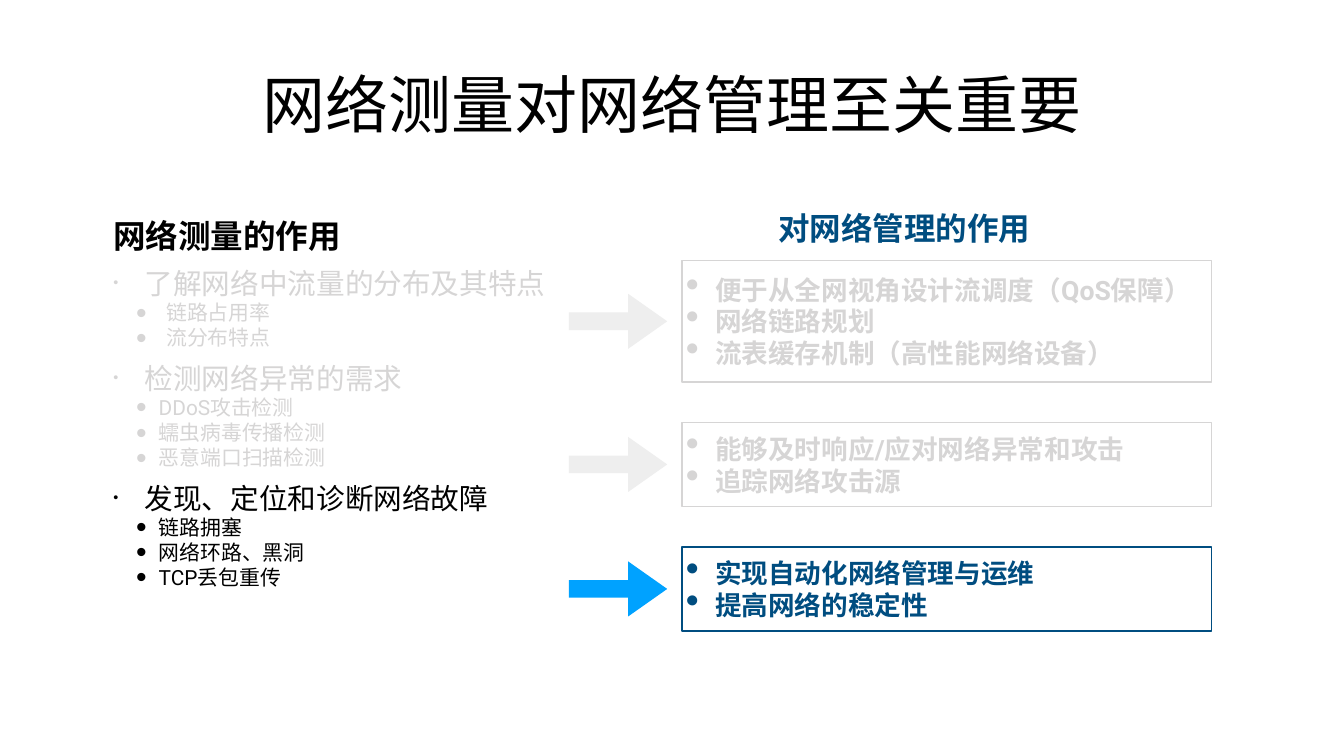
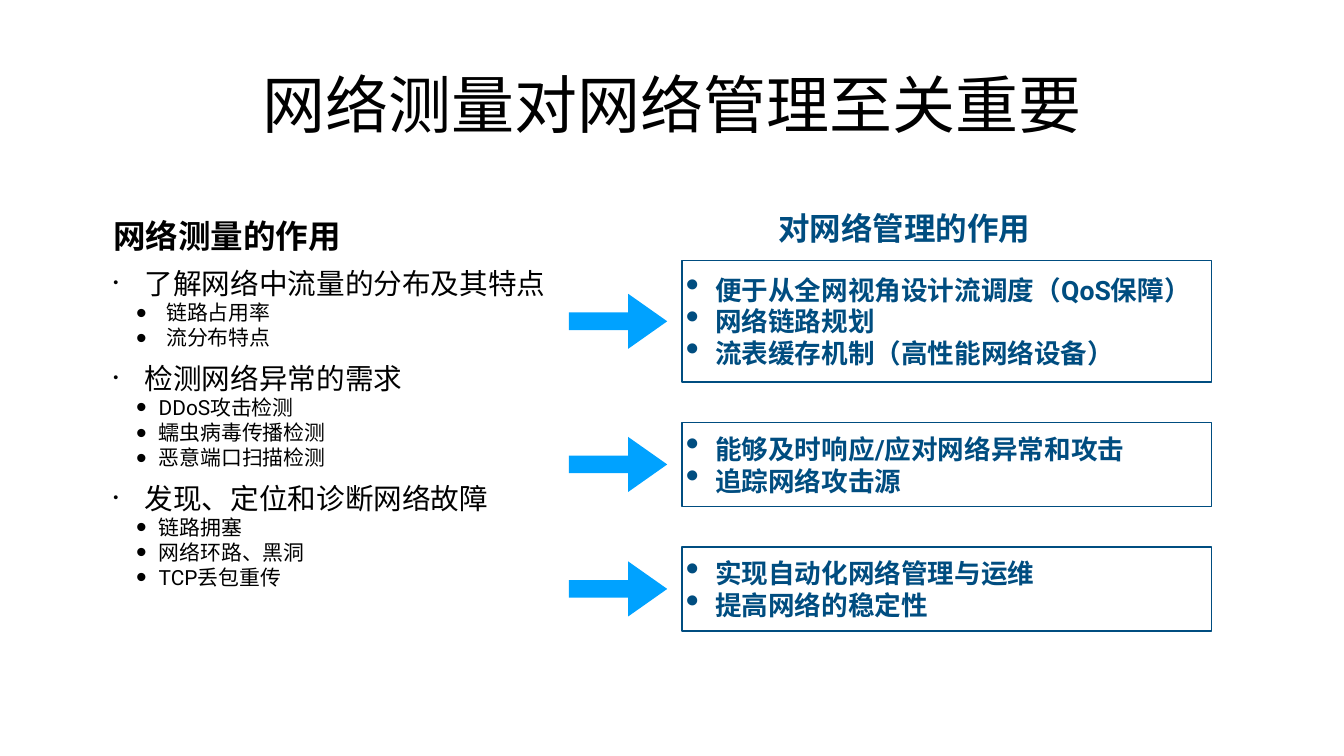
from lxml import etree
from pptx import Presentation
from pptx.dml.color import RGBColor
from pptx.enum import shapes, text
from pptx.oxml import ns
from pptx.util import Inches, Pt

BLACK = RGBColor(0x00, 0x00, 0x00)
NAVY = RGBColor(0x00, 0x4D, 0x80)
BLUE = RGBColor(0x00, 0xA2, 0xFF)
FADED = RGBColor(0xD6, 0xD5, 0xD5)
FADED_ARROW = RGBColor(0xEE, 0xEE, 0xEE)

FONT = "Roboto"
INSET = Inches(0.08)
TITLE = "网络测量对网络管理至关重要"
ROLES_HEADING = "网络测量的作用"
BENEFITS_HEADING = "对网络管理的作用"

# Each topic: role of measurement, its details, (indent, hanging) of the
# details, and the benefits for network management.
TOPICS = [
    ("了解网络中流量的分布及其特点",
     ["链路占用率", "流分布特点"], (1.05, 0.6),
     ["便于从全网视角设计流调度（QoS保障）", "网络链路规划",
      "流表缓存机制（高性能网络设备）"]),
    ("检测网络异常的需求",
     ["DDoS攻击检测", "蠕虫病毒传播检测", "恶意端口扫描检测"], (0.9, 0.45),
     ["能够及时响应/应对网络异常和攻击", "追踪网络攻击源"]),
    ("发现、定位和诊断网络故障",
     ["链路拥塞", "网络环路、黑洞", "TCP丢包重传"], (0.9, 0.45),
     ["实现自动化网络管理与运维", "提高网络的稳定性"]),
]
# Topics shown in full colour on each slide
HIGHLIGHTS = [{2}, {0, 1, 2}]

TITLE_BOX = (4.8, 0.39, 17.07, 3.32)
ROLES_BOX = (2.17, 4.21, 8.86, 8.77)
BENEFITS_HEADING_BOX = (13.53, 4, 8.82, 1.03)
BENEFITS_LEFT, BENEFITS_TOP, BENEFITS_WIDTH = 13.53, 5.17, 10.51
BENEFIT_LINE, BENEFIT_PADDING, BENEFIT_GAP = 0.74, 0.19, 0.8
ARROW_LEFT, ARROW_WIDTH, ARROW_HEIGHT = 11.29, 1.95, 1.09


def set_all(target, **values):
    for name, value in values.items():
        setattr(target, name, value)


def place(shape, box):
    for name, value in zip(("left", "top", "width", "height"), box):
        setattr(shape, name, Inches(value))


def prepare_frame(frame, anchor, auto_size=text.MSO_AUTO_SIZE.NONE):
    set_all(frame, word_wrap=True, auto_size=auto_size, vertical_anchor=anchor,
            margin_left=INSET, margin_right=INSET,
            margin_top=INSET, margin_bottom=INSET)


def set_bullet(paragraph, indent=0, hanging=0, percent=None):
    """Set the hanging indent and a sized bullet, or no bullet."""
    properties = paragraph._p.get_or_add_pPr()
    properties.set("marL", str(Inches(indent)))
    properties.set("indent", str(-Inches(hanging)))
    if percent is None:
        etree.SubElement(properties, ns.qn("a:buNone"))
        return
    size = etree.SubElement(properties, ns.qn("a:buSzPct"))
    size.set("val", str(percent * 1000))
    etree.SubElement(properties, ns.qn("a:buChar")).set("char", "•")


def write(frame, index, words, size, color, bold=False, level=0, before=0,
          align=text.PP_ALIGN.LEFT, **bullet):
    """Write paragraph number index of a frame."""
    paragraph = frame.add_paragraph() if index else frame.paragraphs[0]
    set_bullet(paragraph, **bullet)
    set_all(paragraph, level=level, alignment=align, line_spacing=1.0,
            space_before=Pt(before), space_after=Pt(0))
    run = paragraph.add_run()
    run.text = words
    set_all(run.font, name=FONT, size=Pt(size), bold=bold)
    run.font.color.rgb = color
    east_asian = etree.SubElement(run._r.get_or_add_rPr(), ns.qn("a:ea"))
    east_asian.set("typeface", FONT)


def add_title(slide):
    title = slide.shapes.title
    place(title, TITLE_BOX)
    prepare_frame(title.text_frame, text.MSO_ANCHOR.MIDDLE)
    write(title.text_frame, 0, TITLE, 90, BLACK, align=text.PP_ALIGN.CENTER)


def add_roles(slide, box, highlighted):
    """Fill the body with the roles of measurement and their details."""
    body = slide.placeholders[1]
    place(body, box)
    frame = body.text_frame
    prepare_frame(frame, text.MSO_ANCHOR.TOP)
    write(frame, 0, ROLES_HEADING, 46.5, BLACK, bold=True)
    for number, (role, details, (indent, hanging), _) in enumerate(TOPICS):
        color = BLACK if number in highlighted else FADED
        write(frame, 1, role, 40.9, color, before=15,
              indent=0.62, hanging=0.62, percent=50)
        for detail in details:
            write(frame, 1, detail, 29.8, color, level=1,
                  indent=indent, hanging=hanging, percent=145)


def add_benefits_heading(slide, box):
    heading = slide.shapes.add_textbox(*map(Inches, box))
    prepare_frame(heading.text_frame, text.MSO_ANCHOR.MIDDLE,
                  text.MSO_AUTO_SIZE.SHAPE_TO_FIT_TEXT)
    write(heading.text_frame, 0, BENEFITS_HEADING, 45, NAVY, bold=True,
          align=text.PP_ALIGN.CENTER)


def add_benefit_panel(slide, box, benefits, color):
    panel = slide.shapes.add_shape(shapes.MSO_SHAPE.RECTANGLE, *map(Inches, box))
    panel.shadow.inherit = False
    panel.fill.background()
    panel.line.color.rgb = color
    panel.line.width = Pt(2)
    prepare_frame(panel.text_frame, text.MSO_ANCHOR.MIDDLE,
                  text.MSO_AUTO_SIZE.SHAPE_TO_FIT_TEXT)
    for index, benefit in enumerate(benefits):
        write(panel.text_frame, index, benefit, 38, color, bold=True,
              indent=0.58, hanging=0.58, percent=145)


def add_arrow(slide, middle, color):
    box = (ARROW_LEFT, middle - ARROW_HEIGHT / 2, ARROW_WIDTH, ARROW_HEIGHT)
    arrow = slide.shapes.add_shape(shapes.MSO_SHAPE.RIGHT_ARROW, *map(Inches, box))
    arrow.shadow.inherit = False
    arrow.adjustments[0], arrow.adjustments[1] = 0.32, 0.71
    arrow.fill.solid()
    arrow.fill.fore_color.rgb = color
    arrow.line.fill.background()


def add_benefits(slide, highlighted):
    """Stack the benefit panels, each with an arrow at its middle."""
    top = BENEFITS_TOP
    for number, (*_, benefits) in enumerate(TOPICS):
        active = number in highlighted
        height = len(benefits) * BENEFIT_LINE + BENEFIT_PADDING
        add_benefit_panel(slide, (BENEFITS_LEFT, top, BENEFITS_WIDTH, height),
                          benefits, NAVY if active else FADED)
        add_arrow(slide, top + height / 2, BLUE if active else FADED_ARROW)
        top += height + BENEFIT_GAP


def add_measurement_slide(deck, highlighted):
    slide = deck.slides.add_slide(deck.slide_layouts[1])
    add_title(slide)
    add_roles(slide, ROLES_BOX, highlighted)
    add_benefits_heading(slide, BENEFITS_HEADING_BOX)
    add_benefits(slide, highlighted)


def main():
    deck = Presentation()
    set_all(deck, slide_width=Inches(26.67), slide_height=Inches(15))
    for highlighted in HIGHLIGHTS:
        add_measurement_slide(deck, highlighted)
    deck.save("out.pptx")


if __name__ == "__main__":
    main()
